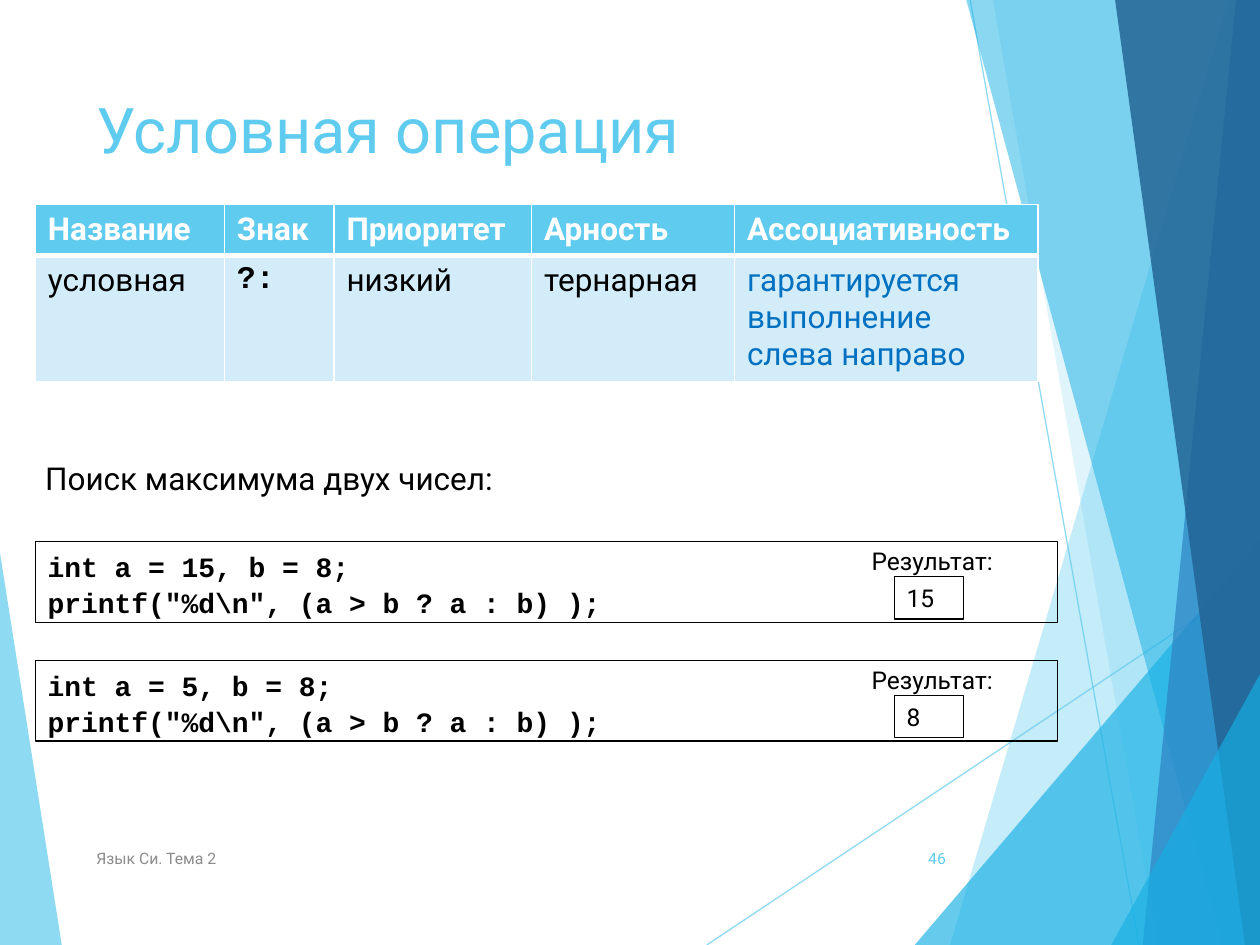
"""Build the slide on the conditional operator in C."""
from lxml import etree
from pptx import Presentation
from pptx import util as u
from pptx.dml.color import RGBColor
from pptx.enum import shapes, text
from pptx.oxml import ns

Pt = u.Pt
SKY = RGBColor(0x5F, 0xCB, 0xEF)
CYAN = RGBColor(0x17, 0xB0, 0xE4)
BLUE = RGBColor(0x2E, 0x83, 0xC3)
NAVY = RGBColor(0x22, 0x62, 0x92)
PALE = RGBColor(0xD2, 0xEC, 0xF9)
LINK = RGBColor(0x00, 0x70, 0xC0)
GRAY = RGBColor(0x8C, 0x8C, 0x8C)
BLACK = RGBColor(0, 0, 0)
WHITE = RGBColor(255, 255, 255)
SANS, MONO = "Roboto", "Courier New"
W, H = 720, 540

EDGE = [(SKY, 70, [(0, 316), (35.3, H), (0, H)])]
RAYS = [(403.9, H, W, 329), (554.4, 0, 650.9, H)]
FACETS = [
    (SKY, 36, [(702, 0), (542.9, H), (W, H), (W, 0)]),
    (SKY, 20, [(567.4, 0), (661.7, H), (W, H), (W, 0)]),
    (CYAN, 66, [(522.7, H), (W, 308.9), (W, H)]),
    (CYAN, 50, [(552.2, 0), (698.4, H), (W, H), (W, 0)]),
    (BLUE, 70, [(706.3, 0), (653, H), (W, H), (W, 0)]),
    (NAVY, 82, [(637.2, 0), (711.4, H), (W, H), (W, 0)]),
    (CYAN, 66, [(635, H), (W, 385.2), (W, H)]),
]
TITLE = "Условная операция"
FOOTER, NUMBER = "Язык Си. Тема 2", "46"
TABLE = [
    ["Название", "Знак", "Приоритет", "Арность", "Ассоциативность"],
    ["условная", "?:", "низкий", "тернарная", "гарантируется выполнение слева направо"],
]
COLS = [108, 62.6, 113, 115.9, 173.5]
ROWS = [29.2, 72]
TASK = "Поиск максимума двух чисел:"
RESULT = "Результат:"
PRINT = 'printf("%d\\n", (a > b ? a : b) );'
EXAMPLES = [(["int a = 15, b = 8;", PRINT], "15"), (["int a = 5, b = 8;", PRINT], "8")]
LEFT, FIRST_TOP, STEP = 20.2, 309.6, 67.9


def set_alpha(fill, percent):
    color = fill._xPr.find(".//" + ns.qn("a:srgbClr"))
    etree.SubElement(color, ns.qn("a:alpha")).set("val", str(percent * 1000))


def add_facets(s, facets):
    for color, alpha, points in facets:
        first, *rest = [(Pt(x), Pt(y)) for x, y in points]
        builder = s.shapes.build_freeform(*first)
        builder.add_line_segments(rest)
        sp = builder.convert_to_shape()
        sp.shadow.inherit = False
        sp.fill.solid()
        sp.fill.fore_color.rgb = color
        set_alpha(sp.fill, alpha)
        sp.line.fill.background()


def add_ray(s, ends):
    sp = s.shapes.add_connector(shapes.MSO_CONNECTOR.STRAIGHT, *map(Pt, ends))
    sp.line.width = Pt(0.75)
    sp.line.color.rgb = SKY
    set_alpha(sp.line.fill, 70)
    etree.SubElement(sp._element.spPr, ns.qn("a:effectLst"))


def write(tf, lines, size, color=BLACK, name=SANS, bold=False, align=None, spacing=None):
    tf.word_wrap = True
    font = {"size": Pt(size), "name": name, "bold": bold}
    for i, line in enumerate(lines):
        p = tf.add_paragraph() if i else tf.paragraphs[0]
        p.alignment = align or text.PP_ALIGN.LEFT
        if spacing:
            p.line_spacing = spacing
        r = p.add_run()
        r.text = line
        for key, value in font.items():
            setattr(r.font, key, value)
        r.font.color.rgb = color


def add_text(s, box, lines, size, anchor=text.MSO_ANCHOR.TOP, framed=False, **style):
    box = [Pt(v) for v in box]
    if framed:
        sp = s.shapes.add_shape(shapes.MSO_SHAPE.RECTANGLE, *box)
        sp.shadow.inherit = False
        sp.fill.background()
        sp.line.color.rgb = BLACK
        sp.line.width = Pt(0.75)
    else:
        sp = s.shapes.add_textbox(*box)
    sp.text_frame.vertical_anchor = anchor
    write(sp.text_frame, lines, size, **style)


def add_borders(cell, bottom):
    pr = cell._tc.get_or_add_tcPr()
    widths = {"lnL": 1, "lnR": 1, "lnT": 1, "lnB": bottom}
    for i, (tag, width) in enumerate(widths.items()):
        ln = etree.Element(ns.qn("a:" + tag), w=str(Pt(width)))
        fill = etree.SubElement(ln, ns.qn("a:solidFill"))
        etree.SubElement(fill, ns.qn("a:srgbClr")).set("val", str(WHITE))
        pr.insert(i, ln)


def add_operator_table(s):
    box = [Pt(v) for v in (LEFT, 116.9, sum(COLS), sum(ROWS))]
    table = s.shapes.add_table(len(ROWS), len(COLS), *box).table
    for col, width in zip(table.columns, COLS):
        col.width = Pt(width)
    for i, (row, height) in enumerate(zip(table.rows, ROWS)):
        row.height = Pt(height)
        for j, (cell, value) in enumerate(zip(row.cells, TABLE[i])):
            header, sign = i == 0, i == 1 and j == 1
            color = WHITE if header else LINK if j == 4 else BLACK
            cell.fill.solid()
            cell.fill.fore_color.rgb = SKY if header else PALE
            add_borders(cell, 3 if header else 1)
            write(cell.text_frame, [value], 18, color, MONO if sign else SANS, header or sign)


def main():
    prs = Presentation()
    prs.slide_width, prs.slide_height = Pt(W), Pt(H)
    s = prs.slides.add_slide(prs.slide_layouts[6])
    add_facets(s, EDGE)
    for ends in RAYS:
        add_ray(s, ends)
    add_facets(s, FACETS)
    middle = text.MSO_ANCHOR.MIDDLE
    add_text(s, (48, 48, 500, 104), [TITLE], 36, color=SKY)
    add_text(s, (48, 475.9, 364, 28.8), [FOOTER], 9, middle, color=GRAY)
    add_text(s, (507.6, 475.9, 40, 28.8), [NUMBER], 9, middle, color=SKY, align=text.PP_ALIGN.RIGHT)
    add_operator_table(s)
    for i, (code, result) in enumerate(EXAMPLES):
        top = FIRST_TOP + i * STEP
        add_text(s, (LEFT, top, 584, 46), code, 16, framed=True, name=MONO, bold=True, spacing=1.06)
        add_text(s, (491, top - 1.2, 102, 24.2), [RESULT], 14)
        add_text(s, (511, top + 19.9, 39.6, 24.2), [result], 14, framed=True)
    add_text(s, (18.7, 258.5, 573, 29), [TASK], 18)
    prs.save("out.pptx")


if __name__ == "__main__":
    main()
